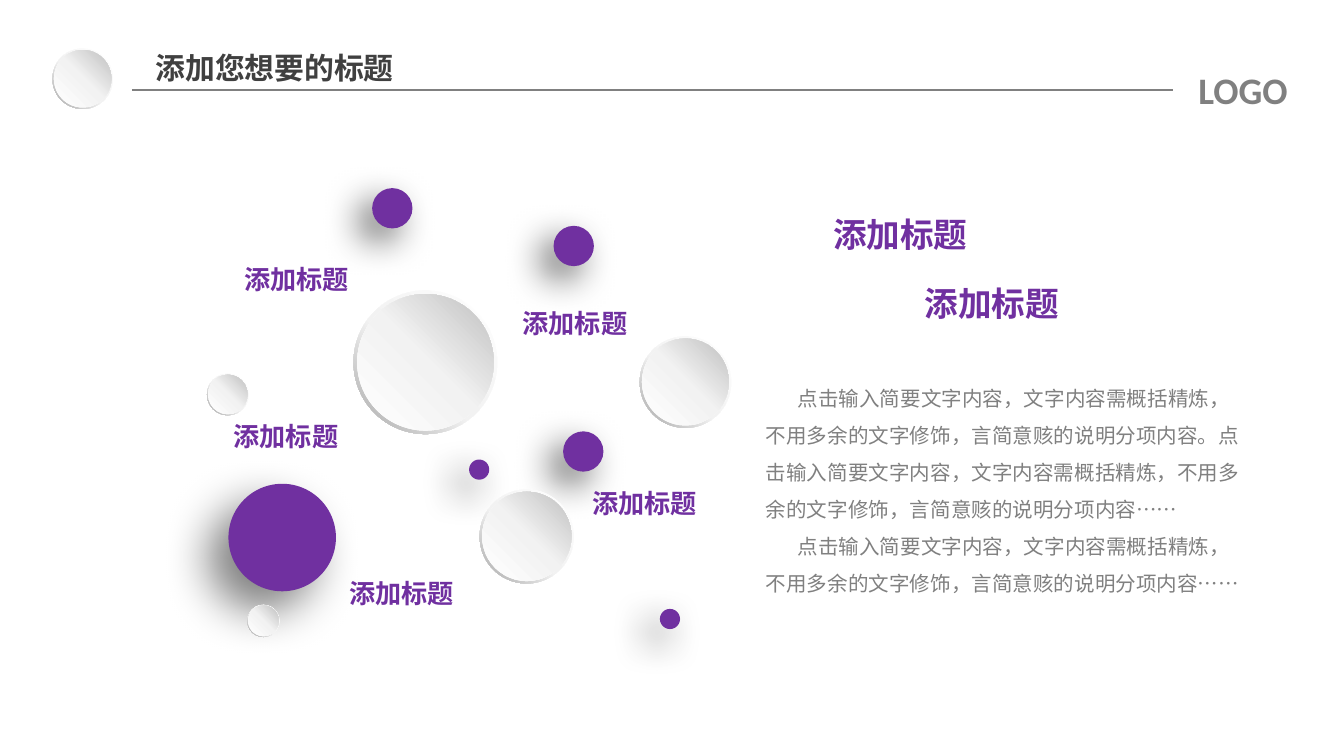
from dataclasses import dataclass

from pptx import Presentation
from pptx.dml.color import RGBColor
from pptx.enum.shapes import MSO_CONNECTOR as Connector, MSO_SHAPE as Preset
from pptx.enum.text import MSO_AUTO_SIZE as AutoSize, PP_ALIGN as Align
from pptx.oxml import parse_xml
from pptx.oxml.ns import nsdecls, qn
from pptx.util import Pt


@dataclass(frozen=True)
class Theme:
    accent: str = "7030A0"
    dark: str = "404040"
    grey: str = "808080"
    rim: tuple = ((0, "FFFFFF"), (55, "F2F2F2"), (100, "A6A6A6"))
    face: tuple = ((0, "FFFFFF"), (51, "F2F2F2"), (100, "BFBFBF"))
    latin: str = "Calibri"
    chinese: str = "Noto Sans CJK SC"
    logo: int = 20
    heading: int = 18
    title: int = 16
    label: int = 14
    body: int = 11


THEME = Theme()
TITLE = "添加您想要的标题"
LABEL = "添加标题"
SENTENCE = "点击输入简要文字内容，文字内容需概括精炼，不用多余的文字修饰，言简意赅的说明分项内容"
BODY = [SENTENCE + "。" + SENTENCE + "……", SENTENCE + "……"]

HEADINGS = [(439.2, 110.9), (488.2, 148.3)]
LABELS = [(123.8, 137.5), (180, 306), (310.3, 257.8), (272.9, 161.3), (118.1, 221.8)]
BALLS = [
    (122.4, 259.2, 57.6), (301.7, 231.1, 21.6), (296.6, 121, 21.6),
    (353.5, 326.2, 10.8), (199.4, 100.8, 21.6), (251.3, 246.2, 10.8),
]
DISCS = [
    (28.1, 26, 32.4), (189.4, 155.6, 77), (342.7, 180.2, 49),
    (132.5, 324, 17.3), (110.9, 200.2, 22.3), (257, 262.2, 50.4),
]
FACE_RATIO = 0.95


def add_text(page, text, left, top, width, height, *, size, color, font=THEME.chinese,
             bold=True, wrap=True, align=Align.LEFT, spacing=None, indent=0):
    box = page.shapes.add_textbox(Pt(left), Pt(top), Pt(width), Pt(height))
    frame = box.text_frame
    frame.word_wrap = wrap
    frame.auto_size = AutoSize.SHAPE_TO_FIT_TEXT
    lines = [text] if isinstance(text, str) else text
    for index, line in enumerate(lines):
        para = frame.add_paragraph() if index else frame.paragraphs[0]
        para.alignment = align
        para.line_spacing = spacing
        if indent:
            para._p.get_or_add_pPr().set("indent", str(Pt(indent)))
        span = para.add_run()
        span.text = line
        span.font.size = Pt(size)
        span.font.bold = bold
        span.font.color.rgb = RGBColor.from_string(color)
        span.font.name = font
        east = parse_xml(f'<a:ea {nsdecls("a")} typeface="{font}"/>')
        span._r.rPr.find(qn("a:latin")).addnext(east)


def add_round(shapes, preset, left, top, size):
    shape = shapes.add_shape(preset, Pt(left), Pt(top), Pt(size), Pt(size))
    shape.shadow.inherit = False
    shape.line.fill.background()
    return shape


def set_gradient(shape, stops, angle):
    shape.fill.gradient()
    shape.fill.gradient_angle = angle
    stop_list = shape._element.spPr.find(qn("a:gradFill")).find(qn("a:gsLst"))
    stop_list.clear()
    for position, color in stops:
        stop_list.append(parse_xml(
            f'<a:gs {nsdecls("a")} pos="{position * 1000}"><a:srgbClr val="{color}"/></a:gs>'))


def add_disc(page, left, top, size):
    group = page.shapes.add_group_shape()
    rim = add_round(group.shapes, Preset.DONUT, left, top, size)
    rim.adjustments[0] = 0.05
    set_gradient(rim, THEME.rim, 225)
    inset = size * (1 - FACE_RATIO) / 2
    face = add_round(group.shapes, Preset.OVAL, left + inset, top + inset, size * FACE_RATIO)
    set_gradient(face, THEME.face, 45)


def add_ball(page, left, top, size):
    ball = add_round(page.shapes, Preset.OVAL, left, top, size)
    ball.fill.solid()
    ball.fill.fore_color.rgb = RGBColor.from_string(THEME.accent)
    alpha, blur, distance = (50, 25, 15) if size > 50 else (60, 20, 10)
    ball._element.spPr.find(qn("a:effectLst")).append(parse_xml(
        f'<a:outerShdw {nsdecls("a")} blurRad="{Pt(blur)}" dist="{Pt(distance)}" '
        f'dir="8100000" algn="tr" rotWithShape="0"><a:srgbClr val="000000">'
        f'<a:alpha val="{alpha * 1000}"/></a:srgbClr></a:outerShdw>'))


def add_rule(page, left, right, top):
    rule = page.shapes.add_connector(Connector.STRAIGHT, Pt(left), Pt(top), Pt(right), Pt(top))
    rule.line.color.rgb = RGBColor.from_string(THEME.grey)
    rule.line.width = Pt(1.25)
    rule._element.spPr.append(parse_xml(f'<a:effectLst {nsdecls("a")}/>'))


def main():
    """Build the slide of floating discs with its headings and body text."""
    deck = Presentation()
    deck.slide_width, deck.slide_height = Pt(720), Pt(405)
    page = deck.slides.add_slide(deck.slide_layouts[6])
    add_rule(page, 70.6, 628.6, 48.3)
    add_text(page, "LOGO", 620.6, 32.4, 90.7, 31.7, size=THEME.logo, color=THEME.grey,
             font=THEME.latin, align=Align.CENTER)
    add_text(page, TITLE, 76.3, 23, 221, 26.6, size=THEME.title, color=THEME.dark)
    for ball in BALLS:
        add_ball(page, *ball)
    for disc in DISCS:
        add_disc(page, *disc)
    for left, top in HEADINGS:
        add_text(page, LABEL, left, top, 87.1, 28.8, size=THEME.heading,
                 color=THEME.accent, wrap=False)
    for left, top in LABELS:
        add_text(page, LABEL, left, top, 71.3, 24.5, size=THEME.label,
                 color=THEME.accent, wrap=False)
    add_text(page, BODY, 403.2, 196.6, 272.2, 146.9, size=THEME.body, color=THEME.grey,
             bold=False, spacing=1.5, indent=17)
    deck.save("out.pptx")


if __name__ == "__main__":
    main()
